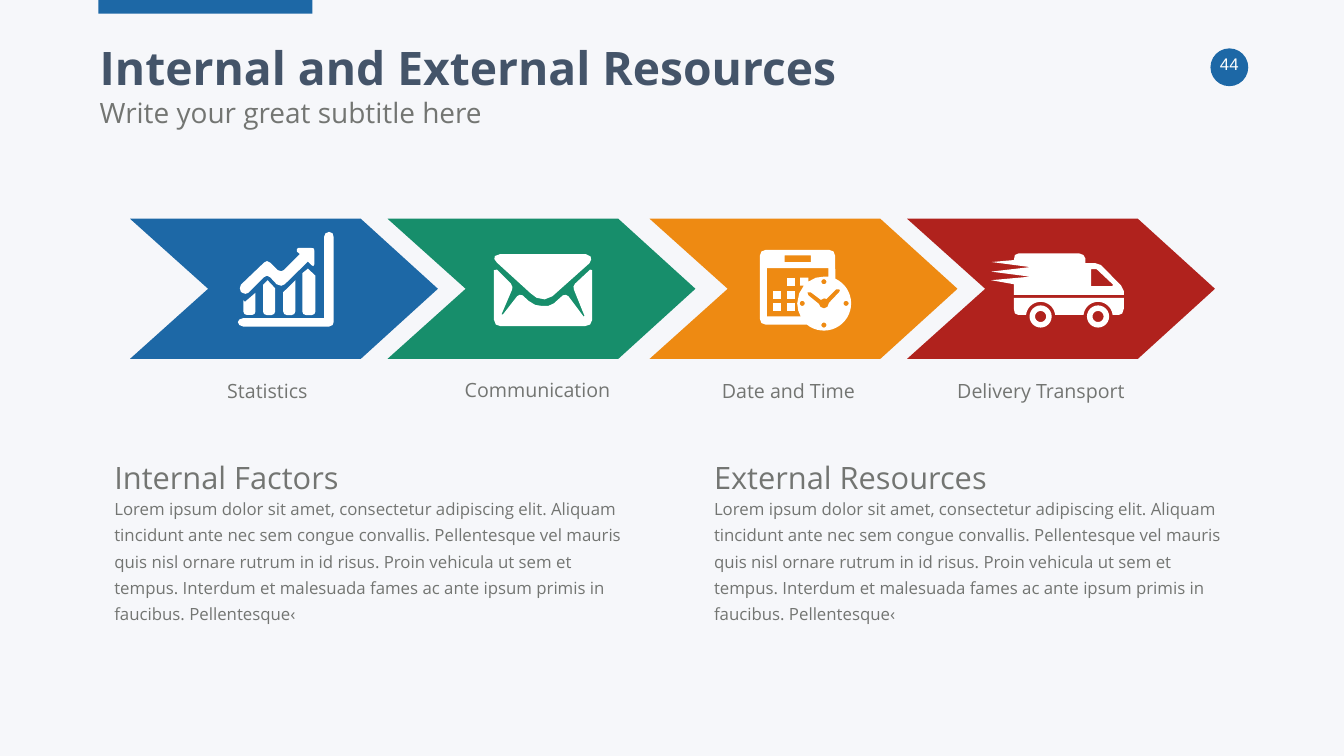
from math import cos, radians, sin

from pptx import Presentation
from pptx.dml.color import RGBColor
from pptx.enum.shapes import MSO_SHAPE
from pptx.enum.text import MSO_ANCHOR, MSO_AUTO_SIZE, PP_ALIGN
from pptx.util import Inches, Pt

# The layout grid has one-inch columns and rows.
COLUMNS, ROWS = 26.67, 15
BLUE, GREEN, ORANGE, RED = "1D68A6", "178E6B", "EE8A12", "B0221D"
WHITE, GREY, NAVY, PAPER = "FFFFFF", "737572", "445469", "F6F7FA"
STEP_TOP, STEP_WIDTH, STEP_HEIGHT = 4.34, 6.11, 2.78
FACTOR_TOP, FACTOR_WIDTH = 9.1, 10.39
LOREM = (
    "Lorem ipsum dolor sit amet, consectetur adipiscing elit. Aliquam tincidunt ante "
    "nec sem congue convallis. Pellentesque vel mauris quis nisl ornare rutrum in id "
    "risus. Proin vehicula ut sem et tempus. Interdum et malesuada fames ac ante ipsum "
    "primis in faucibus. Pellentesque‹"
)


def rgb(hex_code):
    return RGBColor.from_string(hex_code)


def paint(shape, color):
    shape.shadow.inherit = False
    shape.fill.solid()
    shape.fill.fore_color.rgb = rgb(color)
    shape.line.fill.background()


def add_block(slide, preset, left, top, width, height, color):
    block = slide.shapes.add_shape(preset, *map(Inches, (left, top, width, height)))
    paint(block, color)


def add_outline(slide, left, top, contours, color):
    """Draw contours, given relative to (left, top), as one shape; inner ones are holes."""
    builder = None
    for contour in contours:
        points = [(Inches(left + x), Inches(top + y)) for x, y in contour]
        if builder is None:
            builder = slide.shapes.build_freeform(*points[0], scale=1.0)
        else:
            builder.move_to(*points[0])
        builder.add_line_segments(points[1:], close=True)
    paint(builder.convert_to_shape(), color)


def add_text(slide, left, top, width, height, wording, size, color=GREY, font="Open Sans",
             bold=False, align=PP_ALIGN.LEFT, anchor=MSO_ANCHOR.TOP,
             insets=(0.1, 0.05, 0.1, 0.05), grow=False, spacing=None):
    box = slide.shapes.add_textbox(*map(Inches, (left, top, width, height)))
    frame = box.text_frame
    frame.text = wording
    frame.word_wrap = True
    frame.vertical_anchor = anchor
    frame.auto_size = MSO_AUTO_SIZE.SHAPE_TO_FIT_TEXT if grow else MSO_AUTO_SIZE.NONE
    (frame.margin_left, frame.margin_top,
     frame.margin_right, frame.margin_bottom) = map(Inches, insets)
    paragraph = frame.paragraphs[0]
    paragraph.alignment = align
    if spacing:
        paragraph.line_spacing = spacing
    run_font = paragraph.runs[0].font
    run_font.name, run_font.size, run_font.bold = font, Pt(size), bold
    run_font.color.rgb = rgb(color)


def arc(x, y, radius, start, end, parts=24):
    """Points on a circle; degrees run clockwise from three o'clock."""
    angles = [radians(start + (end - start) * i / parts) for i in range(parts + 1)]
    return [(x + radius * cos(a), y + radius * sin(a)) for a in angles]


def circle(x, y, radius):
    return arc(x, y, radius, 0, 360)


def rectangle(x, y, width, height):
    return [(x, y), (x + width, y), (x + width, y + height), (x, y + height)]


def statistics_icon():
    bar_tops = [
        [(2.25, 1.62), (2.28, 1.65), (2.49, 1.47)],
        [(2.64, 1.31), (2.73, 1.22), (2.88, 1.38)],
        [(3.04, 1.46), (3.28, 1.22)],
        [(3.42, 1.08), (3.53, 0.99), (3.68, 1.13)],
    ]
    bars = []
    for bar_top in bar_tops:
        left, right = bar_top[0][0], bar_top[-1][0]
        bars.append([bar_top + [(right, 1.84), (right - 0.02, 1.89), (right - 0.07, 1.91),
                                (left + 0.07, 1.91), (left + 0.02, 1.89), (left, 1.84)]])
    trend = [
        (2.66, 1.16), (2.72, 1.13), (2.78, 1.16), (2.91, 1.3), (3, 1.33), (3.07, 1.3),
        (3.53, 0.85), (3.6, 0.92), (3.64, 0.94), (3.66, 0.9), (3.66, 0.65), (3.65, 0.59),
        (3.6, 0.58), (3.34, 0.58), (3.31, 0.6), (3.31, 0.65), (3.37, 0.7), (3.05, 1.02),
        (3, 1.04), (2.93, 1.02), (2.78, 0.87), (2.72, 0.84), (2.66, 0.87), (2.2, 1.31),
        (2.18, 1.38), (2.2, 1.45), (2.23, 1.47), (2.29, 1.49), (2.35, 1.47),
    ]
    axes = [
        (3.95, 0.26), (3.88, 0.29), (3.85, 0.36), (3.85, 1.97), (2.25, 1.97), (2.17, 2),
        (2.14, 2.05), (2.17, 2.11), (2.25, 2.14), (3.95, 2.14), (4.02, 2.11),
        (4.04, 2.05), (4.04, 0.36), (4.02, 0.29),
    ]
    return bars + [[trend], [axes]]


def envelope_icon():
    flap = [
        (2.96, 1.57), (2.84, 1.48), (2.17, 0.87), (2.12, 0.8), (2.13, 0.74), (2.24, 0.7),
        (3.93, 0.7), (4.03, 0.75), (4.04, 0.81), (4.01, 0.88), (3.27, 1.54), (3.12, 1.6),
    ]
    body = [
        (2.24, 2.13), (2.15, 2.1), (2.11, 2), (2.11, 1.02), (2.17, 1.01), (2.45, 1.29),
        (2.48, 1.36), (2.47, 1.41), (2.26, 1.9), (2.29, 1.9), (2.57, 1.54), (2.62, 1.51),
        (2.68, 1.52), (2.8, 1.63), (2.93, 1.71), (3.06, 1.73), (3.19, 1.73), (3.3, 1.68),
        (3.48, 1.52), (3.54, 1.51), (3.59, 1.54), (3.89, 1.94), (3.91, 1.93),
        (3.7, 1.41), (3.69, 1.35), (3.72, 1.29), (4.02, 1.01), (4.06, 1.02),
        (4.06, 2.01), (4.02, 2.1), (3.92, 2.13),
    ]
    return [[flap, body]]


def calendar_icon():
    days = [[rectangle(x, y, 0.16, 0.16)] for x in (2.45, 2.73)
            for y in (1.17, 1.43, 1.68) if (x, y) != (2.45, 1.17)]
    clock_x, clock_y = 3.46, 1.68
    silhouette = [
        (3.68, 0.73), (3.65, 0.65), (3.57, 0.62), (2.3, 0.62), (2.22, 0.65), (2.19, 0.73),
        (2.19, 1.99), (2.22, 2.07), (2.3, 2.1), (3.12, 2.1),
    ] + arc(clock_x, clock_y, 0.54, 129, -65)
    header = rectangle(2.68, 0.73, 0.52, 0.13)
    page = [
        (2.33, 0.98), (3.55, 0.98), (3.55, 1.15), (3.46, 1.15), (3.3, 1.17), (3.15, 1.25),
        (3.15, 1.17), (2.99, 1.17), (2.99, 1.33), (3.06, 1.33), (2.97, 1.48),
        (2.93, 1.68), (2.95, 1.82), (3, 1.94), (2.33, 1.94),
    ]
    ticks = [circle(clock_x + dx, clock_y + dy, 0.05)
             for dx, dy in ((0, -0.43), (0.44, 0), (0, 0.43), (-0.43, 0))]
    hands = [
        (3.76, 1.46), (3.56, 1.67), (3.53, 1.75), (3.46, 1.78), (3.39, 1.75),
        (3.36, 1.69), (3.15, 1.52), (3.13, 1.46), (3.2, 1.46), (3.4, 1.61), (3.46, 1.58),
        (3.51, 1.59), (3.7, 1.4), (3.76, 1.4), (3.78, 1.42),
    ]
    return days + [[silhouette, header, page, hands] + ticks]


def truck_icon():
    rear, front, axle = 2.65, 3.79, 1.94
    wheels = [circle(x, axle, radius) for x in (rear, front) for radius in (0.22, 0.11)]
    chassis = [(2.12, 1.57), (4.3, 1.57), (4.3, 1.79), (4.27, 1.88), (4.2, 1.91)]
    for x in (front, rear):
        chassis += arc(x, axle, 0.29, -6, -174)
    chassis += [(2.21, 1.91), (2.14, 1.88), (2.12, 1.79)]
    cabin = [
        (4.25, 1.33), (3.85, 0.92), (3.73, 0.88), (3.54, 0.88), (3.54, 0.79), (3.5, 0.72),
        (3.42, 0.69), (2.21, 0.69), (2.14, 0.72), (2.12, 0.82), (1.68, 0.86),
        (2.44, 0.96), (1.67, 1.05), (2.44, 1.15), (1.67, 1.22), (2.12, 1.3),
        (2.12, 1.51), (4.3, 1.51), (4.3, 1.43),
    ]
    window = [(4.07, 1.34), (3.65, 1.34), (3.65, 1), (3.76, 1), (4.09, 1.31)]
    return [wheels + [chassis, cabin, window]]


def add_step(slide, left, color, icon, label, label_left, label_top, label_width):
    middle, shoulder = STEP_HEIGHT / 2, 4.58
    arrow = [(0, 0), (shoulder, 0), (STEP_WIDTH, middle), (shoulder, STEP_HEIGHT),
             (0, STEP_HEIGHT), (1.55, middle)]
    add_outline(slide, left, STEP_TOP, [arrow], color)
    for contours in icon:
        add_outline(slide, left, STEP_TOP, contours, WHITE)
    add_text(slide, label_left, label_top, label_width, 0.55, label, 28,
             align=PP_ALIGN.CENTER, insets=(0.27, 0, 0.27, 0.13), grow=True)


def add_factor(slide, left, heading):
    add_text(slide, left, FACTOR_TOP, FACTOR_WIDTH, 0.74, heading, 44,
             anchor=MSO_ANCHOR.MIDDLE, insets=(0.1, 0, 0.1, 0), grow=True)
    add_text(slide, left, FACTOR_TOP + 0.89, FACTOR_WIDTH, 2.18, LOREM, 24,
             anchor=MSO_ANCHOR.MIDDLE, grow=True, spacing=1.3)


def main():
    deck = Presentation()
    deck.slide_width, deck.slide_height = Inches(COLUMNS), Inches(ROWS)
    slide = deck.slides.add_slide(deck.slide_layouts[6])
    slide.background.fill.solid()
    slide.background.fill.fore_color.rgb = rgb(PAPER)

    add_block(slide, MSO_SHAPE.OVAL, 24.02, 0.96, 0.75, 0.75, BLUE)
    add_text(slide, 23.81, 1.02, 1.17, 0.8, "44", 24, WHITE, "Arial", align=PP_ALIGN.CENTER)
    add_block(slide, MSO_SHAPE.RECTANGLE, 1.95, 0, 4.25, 0.27, BLUE)
    add_text(slide, 1.88, 0.74, 22.9, 1.24, "Internal and External Resources", 66, NAVY,
             bold=True)
    add_text(slide, 1.88, 1.84, 22.9, 0.93, "Write your great subtitle here", 40)

    add_step(slide, 2.58, BLUE, statistics_icon(), "Statistics", 3.5, 7.51, 3.61)
    add_step(slide, 7.69, GREEN, envelope_icon(), "Communication", 8.86, 7.49, 3.61)
    add_step(slide, 12.89, ORANGE, calendar_icon(), "Date and Time", 13.84, 7.51, 3.61)
    add_step(slide, 18, RED, truck_icon(), "Delivery Transport", 18.67, 7.51, 3.97)

    add_factor(slide, 2.17, "Internal Factors")
    add_factor(slide, 14.07, "External Resources")
    deck.save("out.pptx")


if __name__ == "__main__":
    main()
